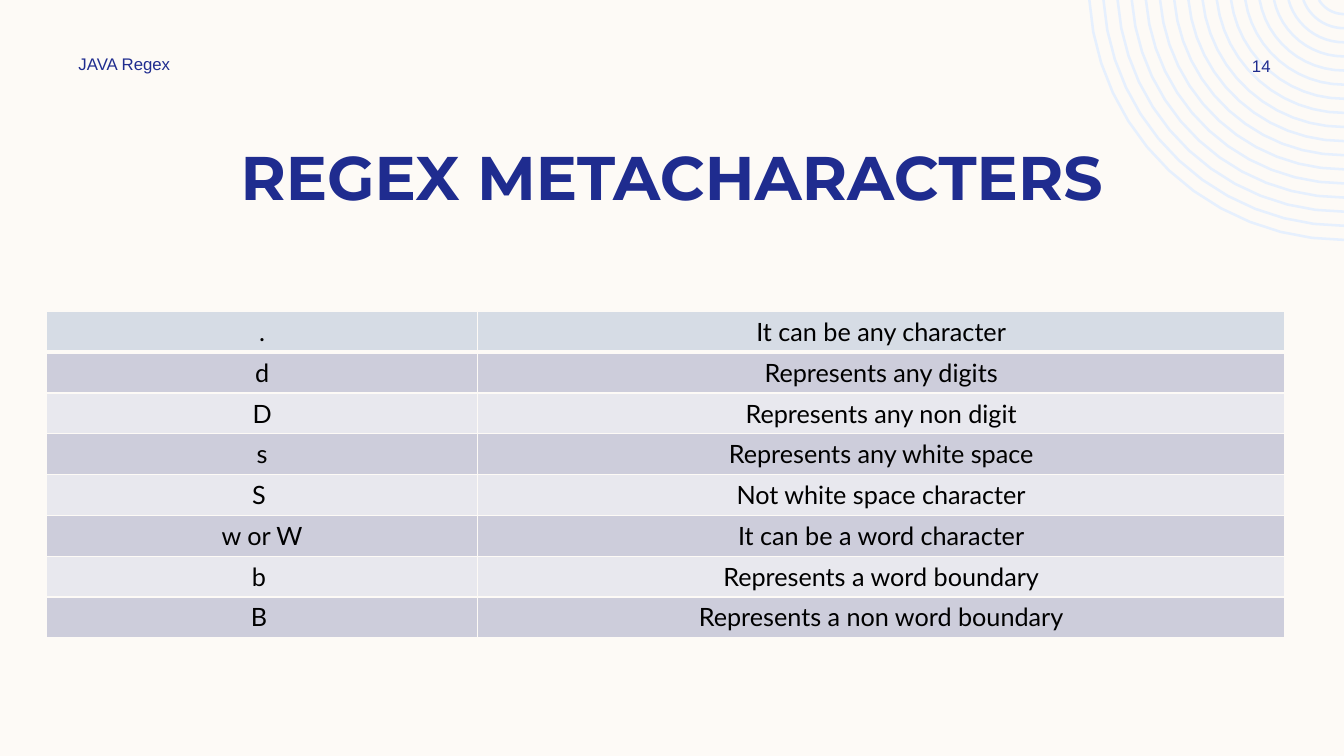
from math import asin, cos, pi, sin

from lxml.etree import SubElement
from pptx import Presentation
from pptx.dml.color import RGBColor
from pptx.enum.text import MSO_ANCHOR, PP_ALIGN
from pptx.oxml.ns import qn
from pptx.util import Inches, Pt

COLORS = {
    "cream": "FDFAF6",
    "navy": "1F2C8F",
    "ring": "E6F0FE",
    "black": "000000",
    "first_row": "D6DCE5",
    "dark_row": "CDCDDB",
    "light_row": "E8E8EE",
}
METACHARACTERS = [
    (".", "It can be any character"),
    ("d", "Represents any digits"),
    ("D", "Represents any non digit"),
    ("s", "Represents any white space"),
    ("S ", "Not white space character"),
    ("w or W", "It can be a word character"),
    ("b ", "Represents a word boundary"),
    ("B ", "Represents a non word boundary"),
]
COLUMN_WIDTHS = (4.28, 8)
TABLE_HEIGHT = 3.24

# Concentric rings, cut off by the top and right edges of the page
RING_CENTER_X = 13.33
RING_CENTER_Y = -0.15
RING_COUNT = 17
OUTER_RADIUS = 2.53
RING_GAP = 0.14
ARC_STEPS = 12


def color(name):
    return RGBColor.from_string(COLORS[name])


def format_text(frame, size, font, color_name, align, bold=False):
    for para in frame.paragraphs:
        para.alignment = align
        for span in para.runs:
            span.font.size = Pt(size)
            span.font.name = font
            span.font.bold = bold
            span.font.color.rgb = color(color_name)


def add_label(page, text, place, size, font, align, anchor, bold=False):
    box = page.shapes.add_textbox(*(Inches(length) for length in place))
    frame = box.text_frame
    frame.word_wrap = True
    frame.vertical_anchor = anchor
    frame.text = text
    format_text(frame, size, font, "navy", align, bold)


def arc_points(radius):
    """Points from the top edge of the page round to its right edge."""
    start = asin(-RING_CENTER_Y / radius)
    angles = [start + (pi / 2 - start) * step / ARC_STEPS for step in range(ARC_STEPS + 1)]
    return [
        (Inches(RING_CENTER_X - radius * cos(angle)),
         Inches(RING_CENTER_Y + radius * sin(angle)))
        for angle in angles
    ]


def add_rings(page):
    arcs = [arc_points(OUTER_RADIUS - index * RING_GAP) for index in range(RING_COUNT)]
    builder = page.shapes.build_freeform(*arcs[0][0])
    for arc in arcs:
        builder.move_to(*arc[0])
        builder.add_line_segments(arc[1:], close=False)
    rings = builder.convert_to_shape()
    rings.shadow.inherit = False
    rings.fill.background()
    rings.line.color.rgb = color("ring")
    rings.line.width = Pt(1.8)


def set_borders(cell, widths):
    """Draw cell borders; widths are points for left, right, top, bottom."""
    properties = cell._tc.get_or_add_tcPr()
    for position, (side, width) in enumerate(zip(("lnL", "lnR", "lnT", "lnB"), widths)):
        line = SubElement(properties, qn(f"a:{side}"), w=str(Pt(width)))
        fill = SubElement(line, qn("a:solidFill"))
        SubElement(fill, qn("a:srgbClr"), val=COLORS["cream"])
        properties.insert(position, line)


def row_color(index):
    if index == 0:
        return "first_row"
    return "dark_row" if index % 2 else "light_row"


def add_metacharacter_table(page):
    row_count = len(METACHARACTERS)
    table = page.shapes.add_table(
        row_count, len(COLUMN_WIDTHS), Inches(0.46), Inches(3.09),
        Inches(sum(COLUMN_WIDTHS)), Inches(TABLE_HEIGHT),
    ).table
    table.first_row = False
    table.horz_banding = False
    for column, width in zip(table.columns, COLUMN_WIDTHS):
        column.width = Inches(width)
    for row_index, texts in enumerate(METACHARACTERS):
        top = 3 if row_index == 1 else 1
        bottom = 3 if row_index == 0 else 1
        for column_index, text in enumerate(texts):
            cell = table.cell(row_index, column_index)
            cell.text_frame.text = text
            format_text(cell.text_frame, 18, "Lato", "black", PP_ALIGN.CENTER)
            cell.fill.solid()
            cell.fill.fore_color.rgb = color(row_color(row_index))
            set_borders(cell, (1, 1, top, bottom))


def main():
    deck = Presentation()
    deck.slide_width = Inches(13.33)
    deck.slide_height = Inches(7.5)
    page = deck.slides.add_slide(deck.slide_layouts[6])

    # Background and corner decoration
    page.background.fill.solid()
    page.background.fill.fore_color.rgb = color("cream")
    add_rings(page)

    # Title, running header and page number
    add_label(page, "REGEX METACHARACTERS", (0.83, 1.33, 11.67, 0.84), 44,
              "Montserrat", PP_ALIGN.CENTER, MSO_ANCHOR.TOP, bold=True)
    add_label(page, "JAVA Regex", (0.68, 0.48, 3.5, 0.3), 12,
              "Arial", PP_ALIGN.LEFT, MSO_ANCHOR.MIDDLE)
    add_label(page, "14", (11.97, 0.5, 1.08, 0.3), 12,
              "Arial", PP_ALIGN.CENTER, MSO_ANCHOR.MIDDLE)

    # Metacharacters and their meanings
    add_metacharacter_table(page)
    deck.save("out.pptx")


if __name__ == "__main__":
    main()
